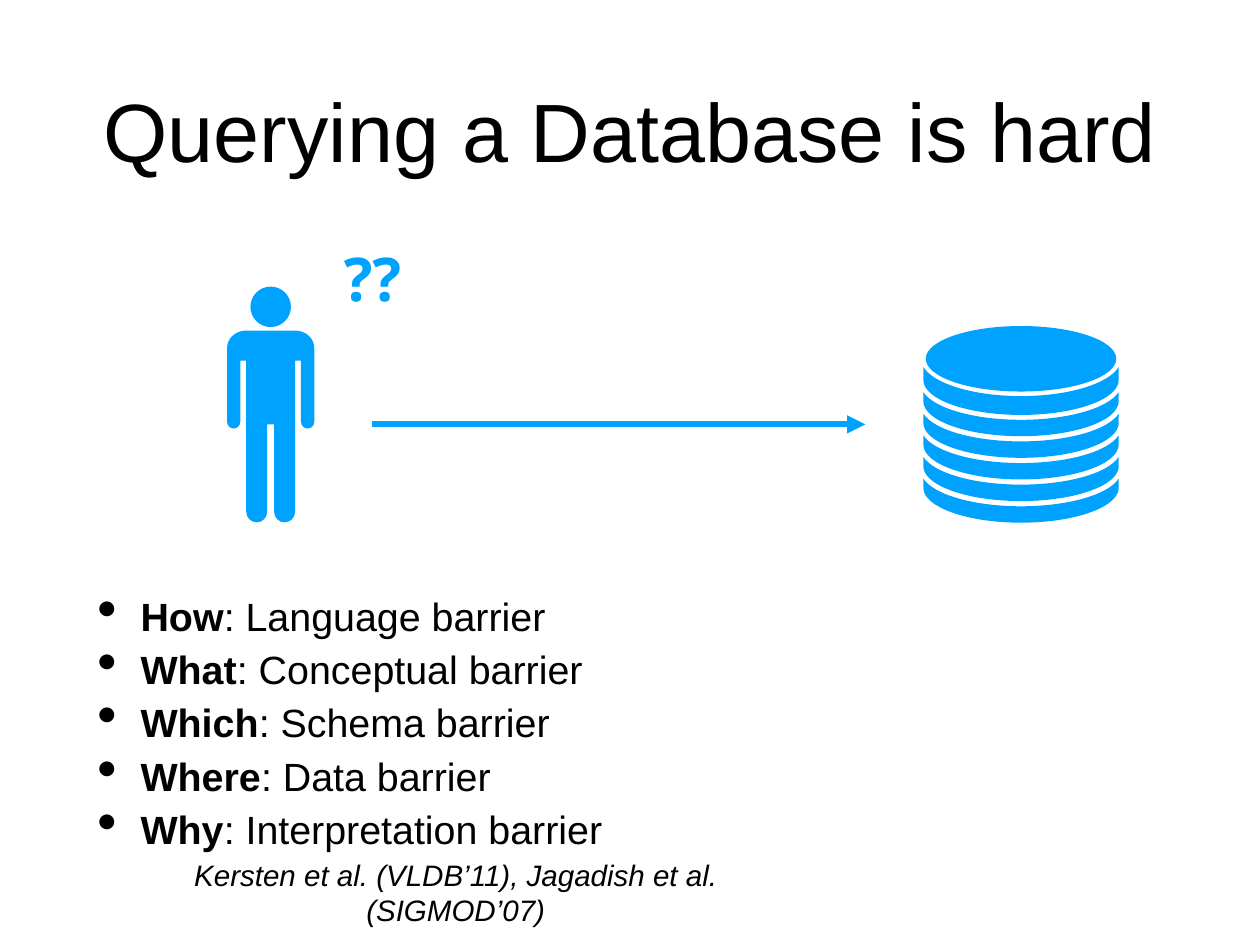
from math import acos, ceil, cos, degrees, radians, sin, tan

from lxml.etree import SubElement
from pptx import Presentation
from pptx.dml.color import RGBColor
from pptx.enum.shapes import MSO_CONNECTOR
from pptx.enum.text import MSO_ANCHOR, PP_ALIGN
from pptx.oxml.ns import qn
from pptx.util import Cm, Pt

BLACK = RGBColor(0, 0, 0)
BLUE = RGBColor(0, 162, 255)
WHITE = RGBColor(255, 255, 255)


def write(para, text, size=32, color=BLACK, bold=False, italic=False, font="Arial"):
    run = para.add_run()
    run.text = text
    run.font.name = font
    run.font.size = Pt(size)
    run.font.color.rgb = color
    run.font.bold = bold
    run.font.italic = italic


def knot(x, y, bend=False):
    return x, y, bend


def arc(x, y, wide, high, start, end):
    count = ceil(abs(end - start) / 90)
    step = radians(end - start) / count
    pull = 4 / 3 * tan(step / 4)

    def spot(angle, lean=0):
        return knot(x + wide * (cos(angle) - lean * sin(angle)),
                    y + high * (sin(angle) + lean * cos(angle)), lean != 0)

    knots = [spot(radians(start))]
    for i in range(count):
        angle = radians(start) + i * step
        knots += [spot(angle, pull), spot(angle + step, -pull), spot(angle + step)]
    return knots


def curve(shape, bends):
    lines = list(shape._element.iter(qn("a:lnTo")))
    for i, bend in enumerate(bends):
        if bend and not bends[i - 1]:
            bow = lines[i].makeelement(qn("a:cubicBezTo"))
            lines[i].addprevious(bow)
            for line in lines[i:i + 3]:
                bow.append(line[0])
                line.getparent().remove(line)


class Painter:
    def __init__(self, slide):
        self.slide = slide
        self.color = BLUE
        self.inset = Cm(0.15)

    def frame(self, left, top, width, height):
        box = self.slide.shapes.add_textbox(Cm(left), Cm(top), Cm(width), Cm(height))
        frame = box.text_frame
        frame.word_wrap = True
        frame.vertical_anchor = MSO_ANCHOR.MIDDLE
        frame.margin_left = frame.margin_right = self.inset
        frame.margin_top = frame.margin_bottom = self.inset
        return frame

    def label(self, area, text, **style):
        para = self.frame(*area).paragraphs[0]
        para.alignment = PP_ALIGN.CENTER
        write(para, text, **style)

    def bullets(self, area, items):
        frame = self.frame(*area)
        for i, (head, rest) in enumerate(items):
            para = frame.add_paragraph() if i else frame.paragraphs[0]
            if i:
                para.space_before = Pt(5)
            props = para._p.get_or_add_pPr()
            props.set("marL", str(Cm(1.24)))
            props.set("indent", str(-Cm(1.24)))
            SubElement(props, qn("a:buSzPct"), val="145000")
            SubElement(props, qn("a:buChar"), char="•")
            write(para, head, bold=True)
            write(para, ": " + rest)

    def outline(self, loops):
        spots = [[(Cm(x), Cm(y)) for x, y, bend in loop] for loop in loops]
        pen = self.slide.shapes.build_freeform(*spots[0][0], scale=1.0)
        for i, loop in enumerate(spots):
            if i:
                pen.move_to(*loop[0])
            pen.add_line_segments(loop[1:], close=True)
        shape = pen.convert_to_shape()
        curve(shape, [bend for loop in loops for x, y, bend in loop[1:]])
        shape.shadow.inherit = False
        shape.fill.solid()
        shape.fill.fore_color.rgb = self.color
        shape.line.fill.background()

    def arrow(self, left, right, y):
        line = self.slide.shapes.add_connector(
            MSO_CONNECTOR.STRAIGHT, Cm(left), Cm(y), Cm(right), Cm(y))
        line.line.color.rgb = self.color
        line.line.width = Pt(5)
        SubElement(line.line._get_or_add_ln(), qn("a:tailEnd"), type="triangle")
        SubElement(line._element.spPr, qn("a:effectLst"))

    def person(self, mid):
        half = [*arc(0.7, 9.98, 0.55, 0.5, -90, 0),
                *arc(1.06, 12.09, 0.19, 0.2, 0, 180),
                knot(0.87, 10.34), knot(0.7, 10.34),
                *arc(0.4, 14.68, 0.3, 0.3, 0, 180),
                knot(0.1, 12.17)]
        body = [knot(mid + x, y, bend) for x, y, bend in half]
        body += [knot(mid - x, y, bend) for x, y, bend in reversed(half)]
        self.outline([arc(mid, 8.8, 0.58, 0.58, 0, 360), body])

    def disks(self, mid):
        edge = degrees(acos(2.8 / 2.87))
        rings = [(10.29, 1.07, 10.9)]
        rings += [(11.02 + 0.62 * i, 1.02, 11.51 + 0.62 * i) for i in range(5)]
        loops = [arc(mid, 10.29, 2.73, 0.94, 0, 360)]
        for top, high, base in rings:
            loops.append(arc(mid, top, 2.87, high, edge, 180 - edge)
                         + arc(mid, base, 2.8, 1, 180, 0))
        self.outline(loops)


def main():
    deck = Presentation()
    deck.slide_width, deck.slide_height = Cm(36.12), Cm(27.1)
    slide = deck.slides.add_slide(deck.slide_layouts[6])
    slide.background.fill.solid()
    slide.background.fill.fore_color.rgb = WHITE
    paint = Painter(slide)
    paint.label((2.31, 0.71, 31.5, 6), "Querying a Database is hard", size=67.2)
    paint.bullets((2.64, 16.48, 32.05, 8.46), [
        ("How", "Language barrier"),
        ("What", "Conceptual barrier"),
        ("Which", "Schema barrier"),
        ("Where", "Data barrier"),
        ("Why", "Interpretation barrier"),
    ])
    paint.person(7.76)
    paint.label((9.6, 6.93, 2.16, 2.03), "⁇", size=49, color=BLUE, bold=True)
    paint.disks(29.27)
    paint.arrow(10.67, 24.81, 12.17)
    paint.label((2.74, 24.95, 20.65, 1.27),
                "Kersten et al. (VLDB’11), Jagadish et al. (SIGMOD’07)",
                size=24, italic=True)
    deck.save("out.pptx")


if __name__ == "__main__":
    main()
